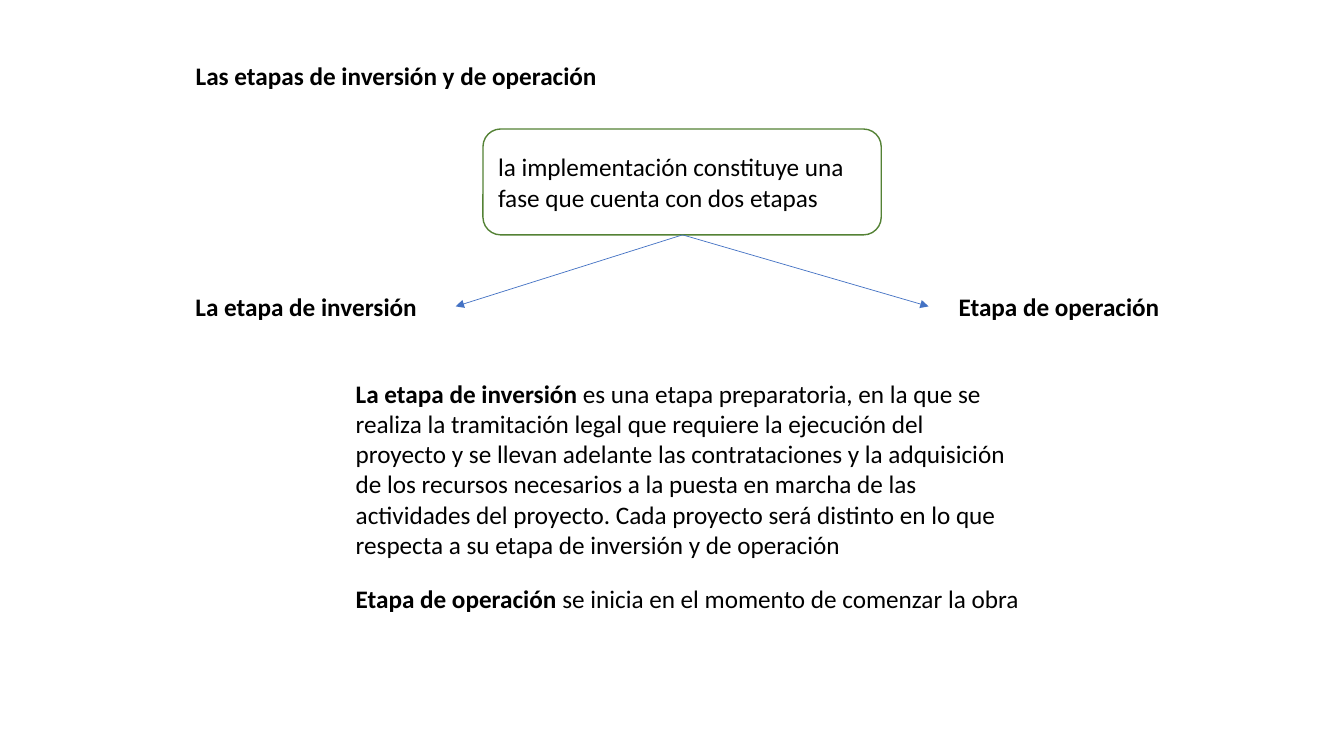
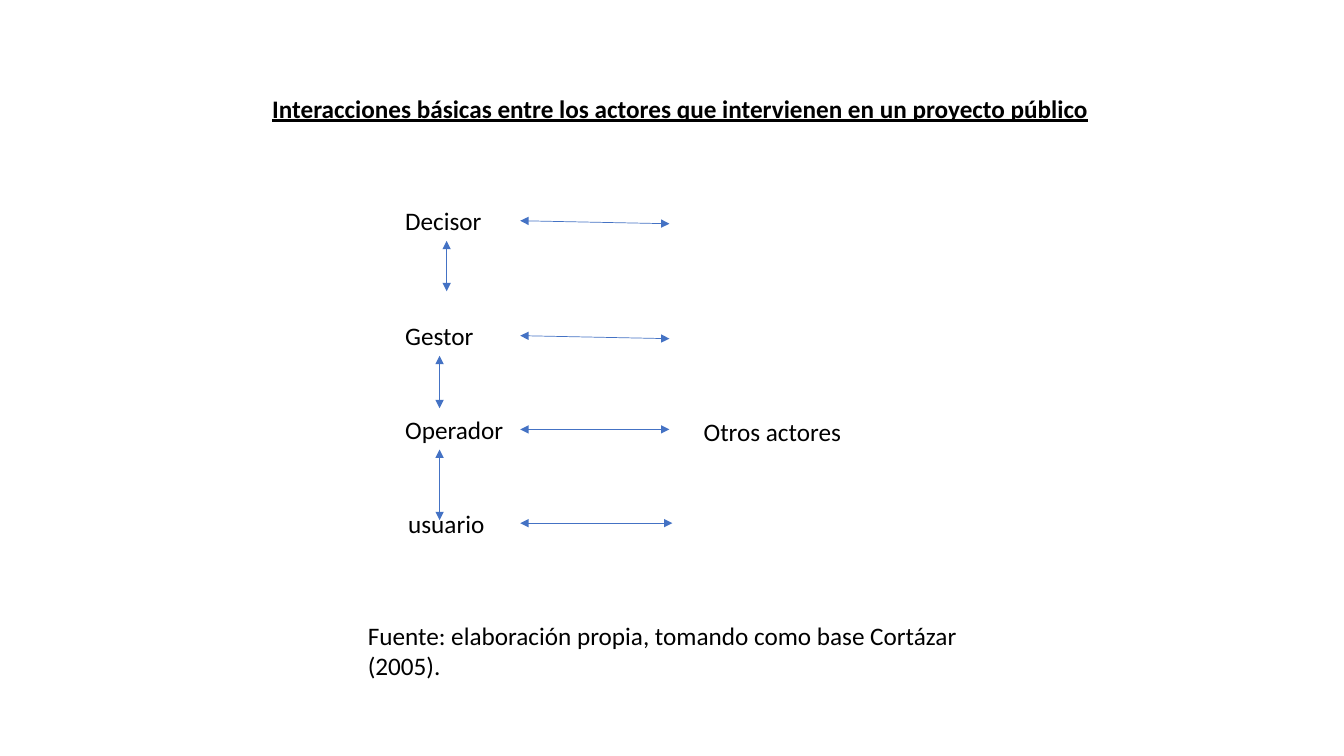
from lxml import etree
from pptx import Presentation
from pptx.dml.color import RGBColor
from pptx.enum.shapes import MSO_CONNECTOR, MSO_SHAPE
from pptx.enum.text import MSO_ANCHOR, MSO_AUTO_SIZE, PP_ALIGN
from pptx.oxml.ns import qn
from pptx.util import Pt

PX = 9144  # EMU per px, 100 px to the inch
SLIDE_WIDTH, SLIDE_HEIGHT = 1333, 750
LINE_HEIGHT = 40
TITLE_ONLY = 5
LEFT, JUSTIFY = PP_ALIGN.LEFT, PP_ALIGN.JUSTIFY
TOP, MIDDLE = MSO_ANCHOR.TOP, MSO_ANCHOR.MIDDLE
NO_AUTOFIT = MSO_AUTO_SIZE.NONE
ROUNDED = MSO_SHAPE.ROUNDED_RECTANGLE
STRAIGHT = MSO_CONNECTOR.STRAIGHT

COLORS = {"text": "000000", "box": "FFFFFF", "border": "548235", "arrow": "4472C4"}


def color(name):
    return RGBColor.from_string(COLORS[name])


class Deck:
    """Holds the text style and the slide being built."""

    font_name = "Calibri"
    font_size = Pt(18)

    def __init__(self):
        self.presentation = Presentation()
        self.presentation.slide_width = SLIDE_WIDTH * PX
        self.presentation.slide_height = SLIDE_HEIGHT * PX
        self.slide = None

    def add_slide(self):
        layout = self.presentation.slide_layouts[TITLE_ONLY]
        self.slide = self.presentation.slides.add_slide(layout)

    def set_text(self, shape, text, lead="", bold=False, wrap=True, align=LEFT, anchor=TOP):
        """Fill a shape with one paragraph, with an optional bold lead."""
        frame = shape.text_frame
        frame.word_wrap = wrap
        frame.auto_size = NO_AUTOFIT
        frame.vertical_anchor = anchor
        paragraph = frame.paragraphs[0]
        paragraph.alignment = align
        if align == JUSTIFY:
            paragraph.line_spacing = 1.07
            paragraph.space_after = Pt(8)
        font = paragraph.font
        font.name, font.size, font.bold = self.font_name, self.font_size, bold
        font.color.rgb = color("text")
        if lead:
            run = paragraph.add_run()
            run.text = lead
            run.font.bold = True
        paragraph.add_run().text = text
        return paragraph

    def title(self, text, left, top, width, **style):
        shape = self.slide.shapes.title
        shape.left, shape.top = left * PX, top * PX
        shape.width, shape.height = width * PX, LINE_HEIGHT * PX
        return self.set_text(shape, text, bold=True, **style)

    def text(self, text, left, top, width, height=LINE_HEIGHT, **style):
        shape = self.slide.shapes.add_textbox(left * PX, top * PX, width * PX, height * PX)
        self.set_text(shape, text, **style)

    def box(self, text, left, top, width, height):
        shape = self.slide.shapes.add_shape(
            ROUNDED, left * PX, top * PX, width * PX, height * PX)
        shape.shadow.inherit = False
        shape.fill.solid()
        shape.fill.fore_color.rgb = color("box")
        shape.line.color.rgb = color("border")
        shape.line.width = Pt(1)
        self.set_text(shape, text, anchor=MIDDLE)

    def arrow(self, start, end, both=True):
        connector = self.slide.shapes.add_connector(
            STRAIGHT, *(value * PX for value in (*start, *end)))
        connector.line.color.rgb = color("arrow")
        connector.line.width = Pt(0.5)
        properties = connector.element.spPr
        line = properties.find(qn("a:ln"))
        for tag in ("a:headEnd", "a:tailEnd") if both else ("a:tailEnd",):
            etree.SubElement(line, qn(tag), type="triangle")
        etree.SubElement(properties, qn("a:effectLst"))


def build_stages(deck):
    deck.add_slide()
    deck.title("Las etapas de inversión y de operación", 184, 55, 427, wrap=False)

    # Phase and its two stages
    deck.box("la implementación constituye una fase que cuenta con dos etapas",
             479, 128, 395, 105)
    for name, left, width, arrow_end in (
            ("La etapa de inversión", 184, 247, 452),
            ("Etapa de operación", 941, 227, 921)):
        deck.text(name, left, 284, width, bold=True, wrap=False)
        deck.arrow((677, 233), (arrow_end, 304), both=False)

    # Definitions
    deck.text(" es una etapa preparatoria, en la que se realiza la tramitación legal "
              "que requiere la ejecución del proyecto y se llevan adelante las "
              "contrataciones y la adquisición de los recursos necesarios a la puesta "
              "en marcha de las actividades del proyecto. Cada proyecto será distinto "
              "en lo que respecta a su etapa de inversión y de operación",
              343, 370, 667, 192, lead="La etapa de inversión")
    deck.text("se inicia en el momento de comenzar la obra",
              343, 574, 806, lead="Etapa de operación ")


def build_actors(deck):
    deck.add_slide()
    heading = deck.title(
        "Interacciones básicas entre los actores que intervienen en un proyecto público",
        260, 85, 856, align=JUSTIFY)
    heading.font.underline = True

    # Actors, each linked to the others on the right
    for name, left, top, width, link_end, link_drop in (
            ("Decisor", 392, 199, 103, 664, 3),
            ("Gestor", 392, 313, 89, 664, 3),
            ("Operador", 392, 406, 124, 664, 0),
            ("usuario", 395, 499, 97, 667, 0)):
        deck.text(name, left, top, width, wrap=False)
        middle = top + LINE_HEIGHT // 2
        deck.arrow((516, middle), (link_end, middle + link_drop))
    deck.text("Otros actores", 688, 406, 158, wrap=False, align=JUSTIFY)

    # Links between successive actors
    for x, top, bottom in ((443, 239, 289), (436, 353, 405), (436, 446, 516)):
        deck.arrow((x, top), (x, bottom))

    # Source
    deck.text("Fuente: elaboración propia, tomando como base Cortázar (2005).",
              355, 610, 667, 71)


def main():
    deck = Deck()
    build_stages(deck)
    build_actors(deck)
    deck.presentation.save("out.pptx")


if __name__ == "__main__":
    main()
